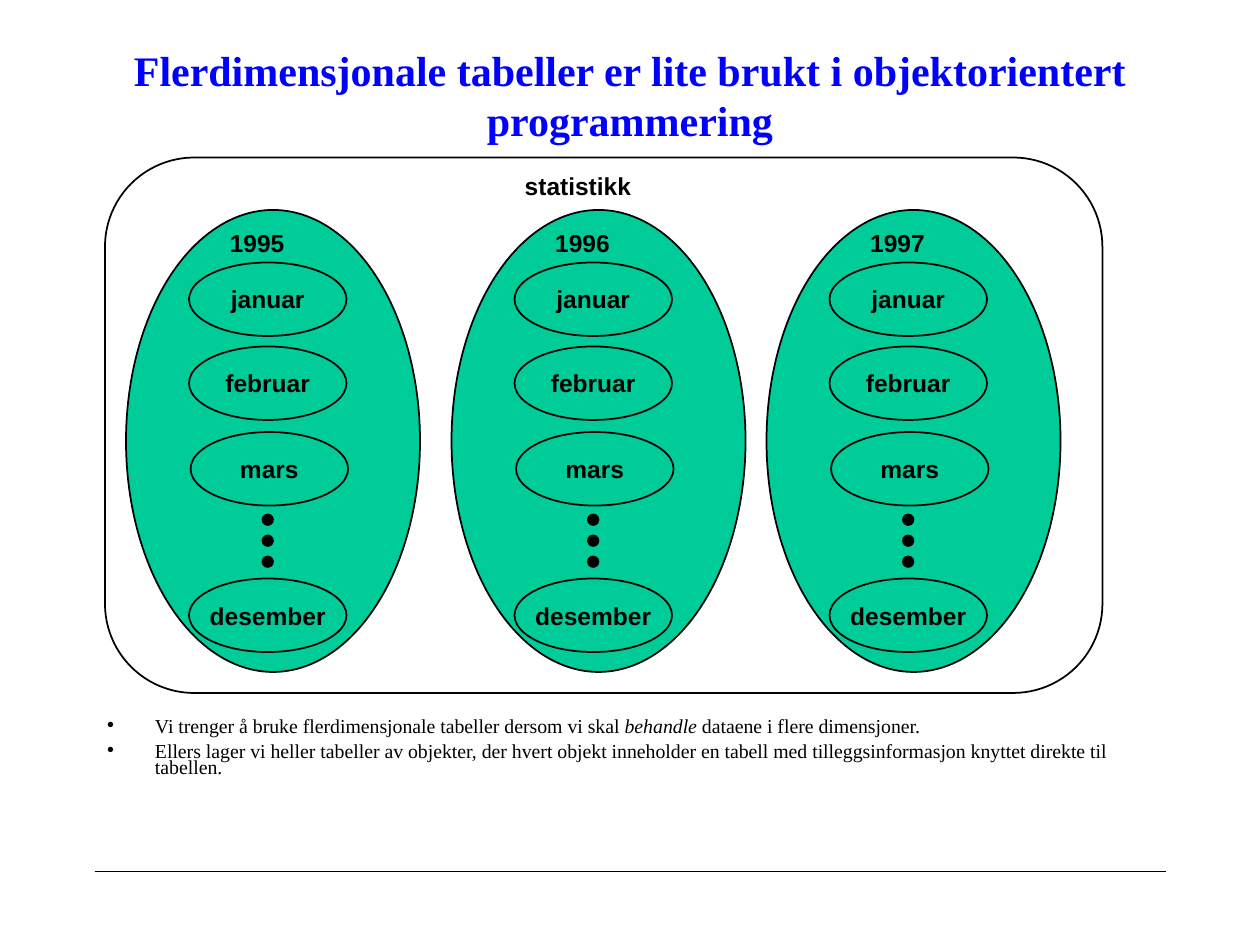
from lxml import etree
from pptx import Presentation, util as u
from pptx.dml.color import RGBColor
from pptx.enum import shapes, text
from pptx.oxml import ns

TITLE = "Flerdimensjonale tabeller er lite brukt i objektorientert programmering"
POINTS = [
    [("Vi trenger å bruke flerdimensjonale tabeller dersom vi skal ", False),
     ("behandle", True),
     (" dataene i flere dimensjoner.", False)],
    [("Ellers lager vi heller tabeller av objekter, der hvert objekt inneholder en tabell "
      "med tilleggsinformasjon knyttet direkte til tabellen.", False)],
]
TABLE_NAME = "statistikk"
YEARS = {"1995": 12, "1996": 43, "1997": 73}
MONTHS = [("januar", 6, 25), ("februar", 6, 33), ("mars", 6.15, 41.15), ("desember", 6, 55.1)]
DOT_ROWS = [49, 51, 53]

COLORS = {"title": "0000FF", "ink": "000000", "year": "00CC99"}
LABEL = {"size": u.Pt(14), "name": "Arial", "bold": True}
HEADING = {"size": u.Pt(24), "name": "Times New Roman", "bold": True}
POINT = {"size": u.Pt(11.3), "name": "Times New Roman", "bold": False}
CELL = u.Inches(1) / 12


def grid(*cells):
    return [round(cell * CELL) for cell in cells]


def assign(target, values):
    for key, value in values.items():
        setattr(target, key, value)


def write(paragraph, words, style, color="ink", italic=False):
    run = paragraph.add_run()
    run.text = words
    assign(run.font, {**style, "italic": italic})
    run.font.color.rgb = RGBColor.from_string(COLORS[color])


def place(placeholder, *cells):
    assign(placeholder, dict(zip(("left", "top", "width", "height"), grid(*cells))))
    assign(placeholder.text_frame, {"auto_size": text.MSO_AUTO_SIZE.NONE, "word_wrap": True})


def outline(slide, cells, fill=None, kind=shapes.MSO_SHAPE.OVAL):
    shape = slide.shapes.add_shape(kind, *grid(*cells))
    shape.shadow.inherit = False
    if fill:
        shape.fill.solid()
        shape.fill.fore_color.rgb = RGBColor.from_string(COLORS[fill])
    else:
        shape.fill.background()
    shape.line.color.rgb = RGBColor.from_string(COLORS["ink"])
    shape.line.width = u.Pt(1)
    return shape


def label(slide, words, cells):
    frame = slide.shapes.add_textbox(*grid(*cells)).text_frame
    assign(frame, {"word_wrap": False, "auto_size": text.MSO_AUTO_SIZE.SHAPE_TO_FIT_TEXT})
    write(frame.paragraphs[0], words, LABEL)


def add_title(slide):
    title = slide.shapes.title
    place(title, 9, 4, 102, 10)
    title.text_frame.vertical_anchor = text.MSO_ANCHOR.MIDDLE
    heading = title.text_frame.paragraphs[0]
    heading.alignment = text.PP_ALIGN.CENTER
    write(heading, TITLE, HEADING, "title")


def add_points(slide):
    body = slide.placeholders[1]
    place(body, 9, 68, 102, 7)
    for index, parts in enumerate(POINTS):
        frame = body.text_frame
        point = frame.add_paragraph() if index else frame.paragraphs[0]
        assign(point, {"line_spacing": 0.7, "space_before": u.Pt(4.5)})
        props = point._p.get_or_add_pPr()
        props.set("marL", str(u.Inches(0.38)))
        props.set("indent", str(-u.Inches(0.38)))
        bullet_color = etree.SubElement(props, ns.qn("a:buClr"))
        etree.SubElement(bullet_color, ns.qn("a:srgbClr"), val=COLORS["ink"])
        etree.SubElement(props, ns.qn("a:buChar"), char="•")
        for words, italic in parts:
            write(point, words, POINT, italic=italic)


def add_year(slide, year, left):
    outline(slide, (left, 20, 28, 44), "year")
    for month, offset, top in MONTHS:
        oval = outline(slide, (left + offset, top, 15, 7), "year")
        assign(oval.text_frame, {"word_wrap": False, "vertical_anchor": text.MSO_ANCHOR.MIDDLE})
        name = oval.text_frame.paragraphs[0]
        name.alignment = text.PP_ALIGN.CENTER
        write(name, month, LABEL)
    for top in DOT_ROWS:
        outline(slide, (left + 13, top, 1, 1), "ink")
    label(slide, year, (left + 8.7, 21.1, 7.8, 4))


def add_footer_line(slide):
    rule = slide.shapes.add_connector(shapes.MSO_CONNECTOR.STRAIGHT, *grid(9, 83, 111, 83))
    rule.line.color.rgb = RGBColor.from_string(COLORS["ink"])
    rule.line.width = u.Pt(0.75)
    etree.SubElement(rule._element.spPr, ns.qn("a:effectLst"))


def main():
    deck = Presentation()
    assign(deck, {"slide_width": u.Inches(10), "slide_height": u.Inches(7.5)})
    slide = deck.slides.add_slide(deck.slide_layouts[1])
    add_footer_line(slide)
    add_title(slide)
    add_points(slide)
    outline(slide, (10, 15, 95, 51), kind=shapes.MSO_SHAPE.FLOWCHART_ALTERNATE_PROCESS)
    for year, left in YEARS.items():
        add_year(slide, year, left)
    label(slide, TABLE_NAME, (48.8, 15.7, 13, 4))
    deck.save("out.pptx")


if __name__ == "__main__":
    main()
